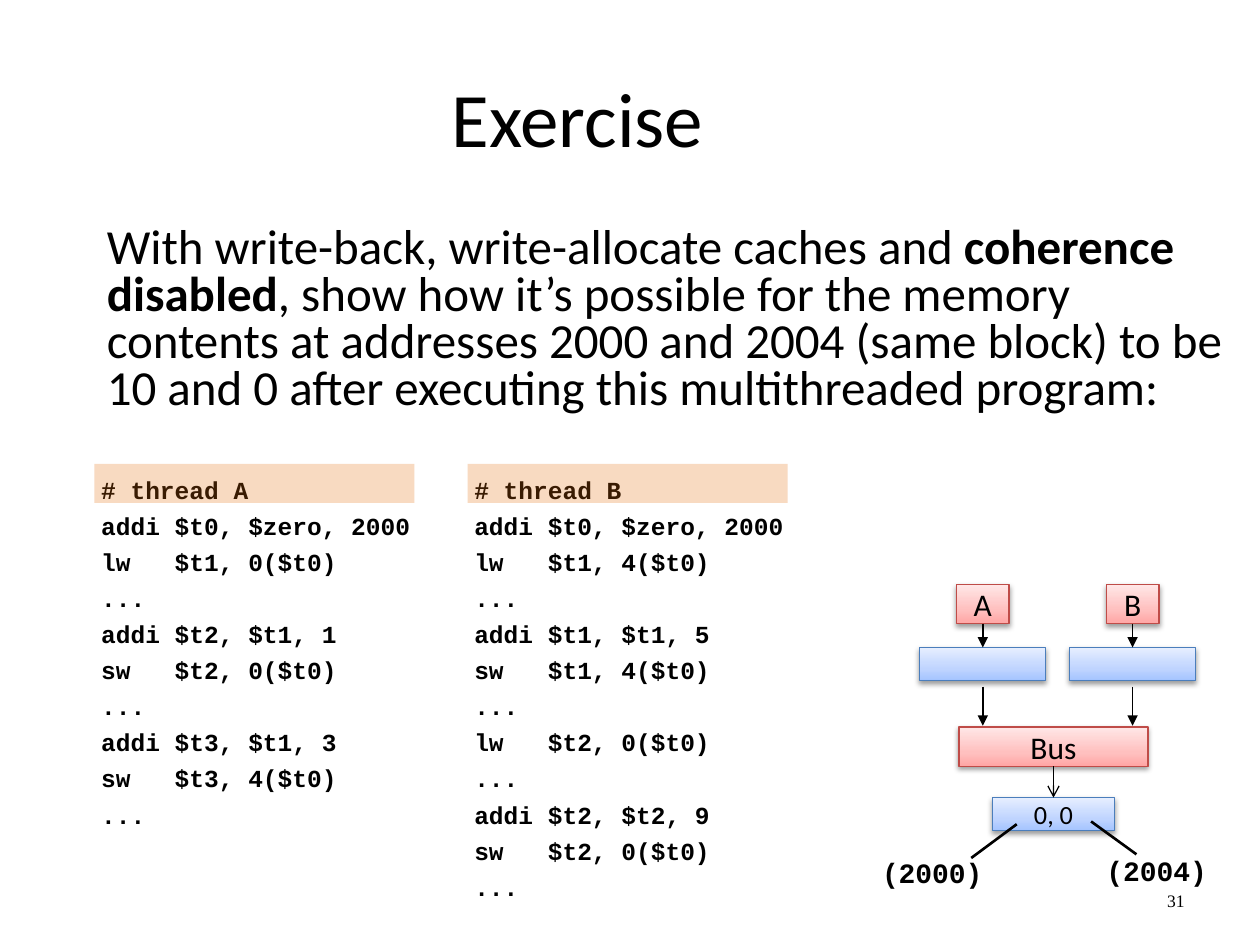
"""Build the cache coherence exercise slide."""
from copy import deepcopy

from lxml import etree
from pptx import Presentation
from pptx.dml.color import RGBColor
from pptx.enum.shapes import MSO_CONNECTOR, MSO_SHAPE
from pptx.enum.text import MSO_ANCHOR, PP_ALIGN
from pptx.oxml.ns import qn
from pptx.util import Pt

RECT, STRAIGHT = MSO_SHAPE.RECTANGLE, MSO_CONNECTOR.STRAIGHT
TOP, MIDDLE = MSO_ANCHOR.TOP, MSO_ANCHOR.MIDDLE
LEFT, CENTER, RIGHT = PP_ALIGN.LEFT, PP_ALIGN.CENTER, PP_ALIGN.RIGHT

THEME = {
    "text": "000000", "highlight": "E46C0A", "highlight_alpha": 25,
    "sans": "Calibri", "mono": "Courier New", "serif": "Times New Roman",
    "title": 44, "body": 28, "label": 18, "address": 16, "memory": 15, "code": 14, "number": 10,
    "red": ("BF4C48", [(0, "FFA6A5"), (0.35, "FFC0BF"), (1, "FFE7E7")]),
    "blue": ("4B7EBC", [(0, "A4C4FF"), (0.35, "BFD4FF"), (1, "E6EEFF")]),
}

TITLE = "Exercise"
TASK = [
    ("With write-back, write-allocate caches and ", False),
    ("coherence disabled", True),
    (", show how it’s possible for the memory contents at addresses 2000 and 2004 "
     "(same block) to be 10 and 0 after executing this multithreaded program:", False),
]
THREADS = [
    ["# thread A", "addi $t0, $zero, 2000", "lw   $t1, 0($t0)", "...",
     "addi $t2, $t1, 1", "sw   $t2, 0($t0)", "...",
     "addi $t3, $t1, 3", "sw   $t3, 4($t0)", "..."],
    ["# thread B", "addi $t0, $zero, 2000", "lw   $t1, 4($t0)", "...",
     "addi $t1, $t1, 5", "sw   $t1, 4($t0)", "...", "lw   $t2, 0($t0)", "...",
     "addi $t2, $t2, 9", "sw   $t2, 0($t0)", "..."],
]
CORES = [("A", 561.6), ("B", 647.2)]
BUS_X = 602
CORE_Y, CACHE_Y, BUS_Y, MEMORY_Y = 334, 370, 415.5, 455.8
TALL, SHORT = 22.4, 18.8
ADDRESSES = [
    ("(2000)", (465.8, 481.7), (581, 471), (555, 490.3)),
    ("(2004)", (594, 481), (623.5, 469.4), (649.4, 488.2)),
]
NUMBER = "31"


def rgb(value):
    return RGBColor.from_string(value)


def style(p, size, font="sans", align=LEFT, bold=None):
    p.alignment = align
    p.font.size = Pt(THEME[size])
    p.font.name = THEME[font]
    p.font.bold = bold
    p.font.color.rgb = rgb(THEME["text"])


def add_text(slide, box, lines, size, font="sans", align=LEFT, bold=None, anchor=TOP, gap=0):
    s = slide.shapes.add_textbox(*map(Pt, box))
    tf = s.text_frame
    tf.word_wrap = True
    tf.vertical_anchor = anchor
    for i, line in enumerate(lines):
        p = tf.add_paragraph() if i else tf.paragraphs[0]
        p.text = line
        style(p, size, font, align, bold)
        if i:
            p.space_before = Pt(gap)
    return tf


def add_block(slide, center, top, width, height, palette, text="", size="label"):
    s = slide.shapes.add_shape(RECT, Pt(center - width / 2), Pt(top), Pt(width), Pt(height))
    edge, stops = THEME[palette]
    s.fill.gradient()
    s.fill.gradient_angle = 90
    first = s._element.spPr.find(".//" + qn("a:gs"))
    first.addnext(deepcopy(first))
    for stop, (position, color) in zip(s.fill.gradient_stops, stops):
        stop.position = position
        stop.color.rgb = rgb(color)
    s.line.color.rgb = rgb(edge)
    s.line.width = Pt(0.75)
    s.shadow.inherit = False
    effects = s._element.spPr.find(qn("a:effectLst"))
    shadow = etree.SubElement(effects, qn("a:outerShdw"), blurRad=str(Pt(3.1)),
                              dist=str(Pt(1.6)), dir="5400000", rotWithShape="0")
    color = etree.SubElement(shadow, qn("a:srgbClr"), val=THEME["text"])
    etree.SubElement(color, qn("a:alpha"), val="38000")
    if text:
        tf = s.text_frame
        tf.word_wrap = False
        tf.vertical_anchor = MIDDLE
        tf.text = text
        style(tf.paragraphs[0], size, align=CENTER)


def add_line(slide, start, end, width, head=None):
    s = slide.shapes.add_connector(STRAIGHT, *map(Pt, (*start, *end)))
    s.line.color.rgb = rgb(THEME["text"])
    s.line.width = Pt(width)
    if head:
        etree.SubElement(s.line._get_or_add_ln(), qn("a:tailEnd"), type=head)
    etree.SubElement(s._element.spPr, qn("a:effectLst"))


def add_heading(slide):
    s = slide.shapes.title
    s.left, s.top, s.width, s.height = map(Pt, (36, 21.6, 588.2, 90))
    s.text_frame.text = TITLE
    s.text_frame.vertical_anchor = MIDDLE
    style(s.text_frame.paragraphs[0], "title", align=CENTER)
    tf = add_text(slide, (54, 126, 660.2, 129.6), [""], "body")
    p = tf.paragraphs[0]
    p.line_spacing = 0.8
    for text, bold in TASK:
        r = p.add_run()
        r.text = text
        r.font.bold = bold


def add_diagram(slide):
    for name, x in CORES:
        add_block(slide, x, CORE_Y, 30.2, TALL, "red", name)
        add_block(slide, x, CACHE_Y, 72, SHORT, "blue")
        add_line(slide, (x, CORE_Y + TALL), (x, CACHE_Y), 1, "triangle")
        add_line(slide, (x, 392.4), (x, BUS_Y - 0.8), 1, "triangle")
    add_block(slide, BUS_X, BUS_Y, 108, TALL, "red", "Bus")
    add_block(slide, BUS_X, MEMORY_Y, 70, SHORT, "blue", "0, 0", "memory")
    add_line(slide, (BUS_X, BUS_Y + TALL), (BUS_X, MEMORY_Y), 0.75, "arrow")
    for label, corner, start, end in ADDRESSES:
        add_text(slide, (*corner, 133.9, 33.1), [label], "address", "mono", CENTER, True, MIDDLE)
        add_line(slide, start, end, 1.5)


def add_threads(slide):
    for i, lines in enumerate(THREADS):
        x = 54 + 213.2 * i
        tf = add_text(slide, (x - 45.4, 265, 243.4, 249.5), lines, "code", "mono",
                      bold=True, gap=3.8)
        tf.margin_left = Pt(49.2)
        tf.margin_top = Pt(6.4)
        s = slide.shapes.add_shape(RECT, Pt(x), Pt(265), Pt(182.9), Pt(22.3))
        s.fill.solid()
        s.fill.fore_color.rgb = rgb(THEME["highlight"])
        color = s._element.spPr.find(".//" + qn("a:srgbClr"))
        etree.SubElement(color, qn("a:alpha"), val=str(THEME["highlight_alpha"] * 1000))
        s.line.fill.background()
        s.shadow.inherit = False


def main():
    prs = Presentation()
    prs.slide_width, prs.slide_height = Pt(720), Pt(540)
    slide = prs.slides.add_slide(prs.slide_layouts[5])
    add_heading(slide)
    add_text(slide, (599.8, 500.4, 84.2, 28.8), [NUMBER], "number", "serif", RIGHT, anchor=MIDDLE)
    add_diagram(slide)
    add_threads(slide)
    prs.save("out.pptx")


if __name__ == "__main__":
    main()
